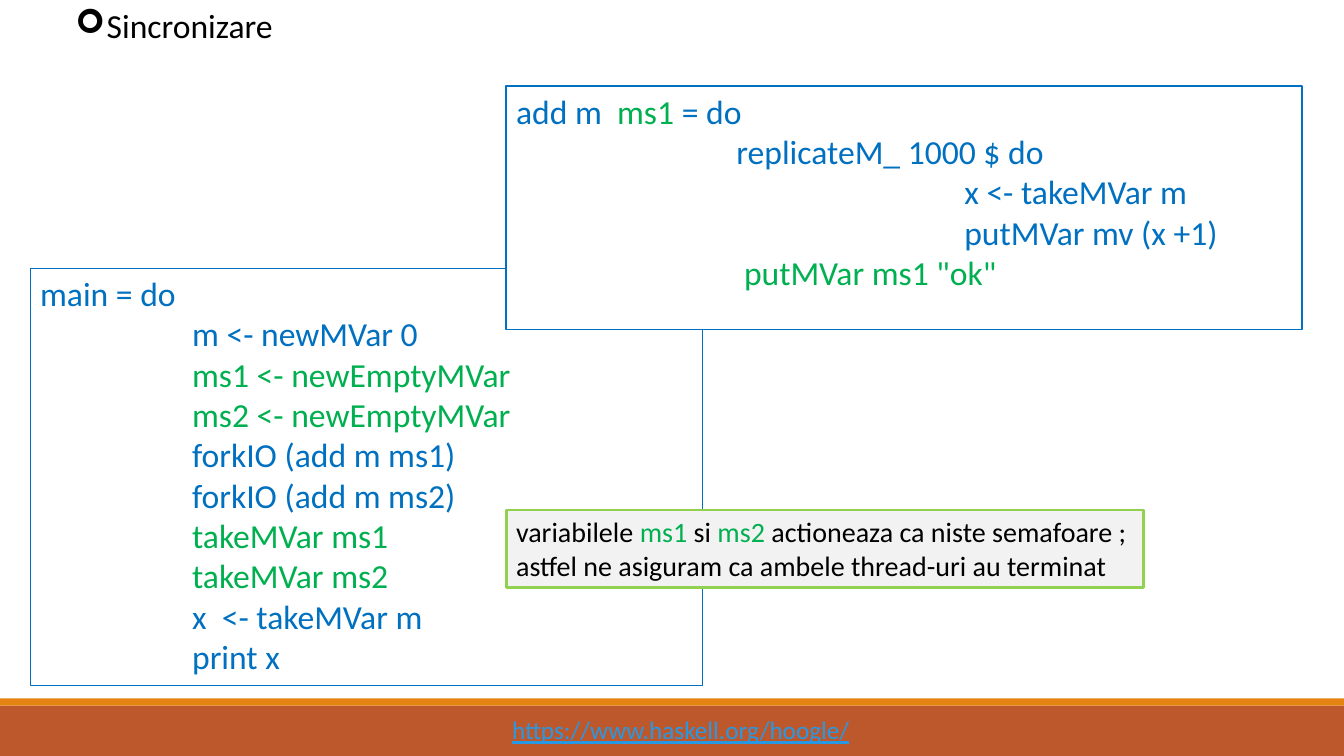
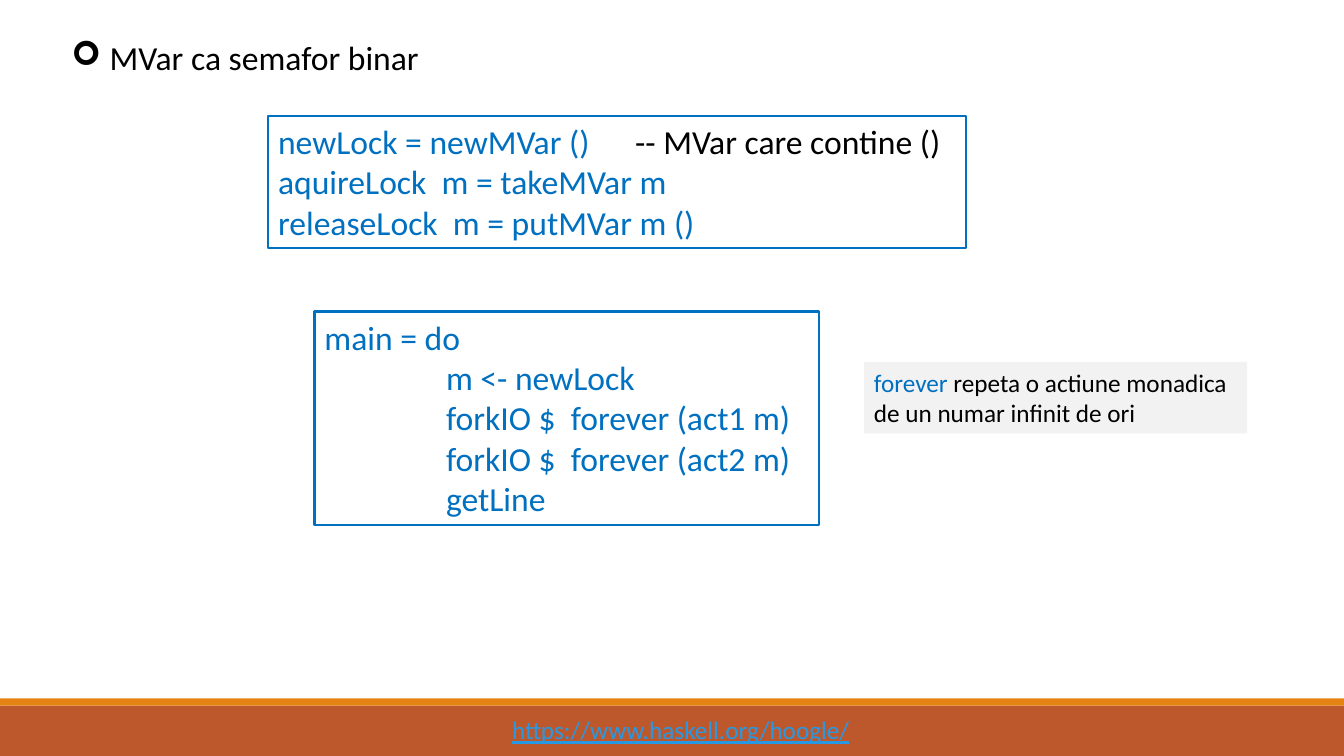
from lxml import etree
from pptx import Presentation
from pptx.dml.color import RGBColor
from pptx.enum.shapes import MSO_SHAPE
from pptx.oxml.ns import qn
from pptx.util import Inches, Pt

RECTANGLE = MSO_SHAPE.RECTANGLE
FONT = "Calibri"
COLORS = {
    "black": "000000",
    "white": "FFFFFF",
    "blue": "0070C0",
    "green": "00B050",
    "lime": "92D050",
    "grey": "F2F2F2",
    "rust": "BD582C",
    "orange": "E48312",
    "link": "2998E3",
}
SLIDE_WIDTH, SLIDE_HEIGHT = 13.33, 7.5


def rgb(name):
    return RGBColor.from_string(COLORS[name])


def add_text(slide, box, lines, size=24, color="black", fill=None, line=None,
             line_width=1.25, underline=False):
    """Each line is a string or a list of strings and (string, color) pairs."""
    shape = slide.shapes.add_textbox(*(Inches(value) for value in box))
    if fill:
        shape.fill.solid()
        shape.fill.fore_color.rgb = rgb(fill)
    if line:
        shape.line.color.rgb = rgb(line)
        shape.line.width = Pt(line_width)
    frame = shape.text_frame
    frame.word_wrap = True
    frame.margin_right = 0
    for index, content in enumerate(lines):
        paragraph = frame.add_paragraph() if index else frame.paragraphs[0]
        for part in [content] if isinstance(content, str) else content:
            text, part_color = (part, color) if isinstance(part, str) else part
            run = paragraph.add_run()
            run.text = text
            run.font.name = FONT
            run.font.size = Pt(size)
            run.font.underline = underline
            run.font.color.rgb = rgb(part_color)
    return shape


def add_title(slide, box, text, hanging):
    shape = add_text(slide, box, [text])
    properties = shape.text_frame.paragraphs[0]._p.get_or_add_pPr()
    properties.set("marL", str(Inches(hanging)))
    properties.set("indent", str(-Inches(hanging)))
    bullet_font = etree.SubElement(properties, qn("a:buFont"))
    bullet_font.set("typeface", "Wingdings")
    bullet = etree.SubElement(properties, qn("a:buChar"))
    bullet.set("char", "➢")


def add_code(slide, box, lines, **style):
    add_text(slide, box, lines, color="blue", line="blue", **style)


def add_note(slide, box, lines, **style):
    add_text(slide, box, lines, fill="grey", **style)


def add_footer(slide):
    for top, height, color in ((7, 0.5, "rust"), (6.93, 0.07, "orange")):
        band = slide.shapes.add_shape(
            RECTANGLE, 0, Inches(top), Inches(SLIDE_WIDTH), Inches(height))
        band.shadow.inherit = False
        band.fill.solid()
        band.fill.fore_color.rgb = rgb(color)
        band.line.fill.background()
    add_text(slide, (4.98, 7.04, 3.59, 0.4), ["https://www.haskell.org/hoogle/"],
             size=18, color="link", underline=True)


def new_slide(presentation):
    slide = presentation.slides.add_slide(presentation.slide_layouts[6])
    add_footer(slide)
    return slide


def build_synchronization(presentation):
    slide = new_slide(presentation)
    # Main program
    indent = " " * 20
    steps = [
        ("m <- newMVar 0", "blue"),
        ("ms1 <- newEmptyMVar", "green"),
        ("ms2 <- newEmptyMVar", "green"),
        ("forkIO (add m ms1)", "blue"),
        ("forkIO (add m ms2)", "blue"),
        ("takeMVar ms1", "green"),
        ("takeMVar ms2", "green"),
        ("x  <- takeMVar m", "blue"),
        ("print x", "blue"),
    ]
    add_code(slide, (0.3, 2.66, 6.67, 4.14),
             ["main = do"] + [[(indent + text, color)] for text, color in steps],
             line_width=0.75)
    add_title(slide, (0.65, 0, 2.27, 0.5), "Sincronizare", hanging=0.31)
    # Worker function
    add_code(slide, (5.02, 0.85, 7.89, 2.42), [
        ["add m  ", ("ms1", "green"), " = do"],
        " " * 29 + "replicateM_ 1000 $ do",
        " " * 59 + "x <- takeMVar m",
        " " * 59 + "putMVar mv (x +1)",
        [(" " * 30 + 'putMVar ms1 "ok"', "green")],
    ], fill="white")
    # Explanation
    add_note(slide, (5.02, 5.06, 6.32, 0.77), [
        ["variabilele ", ("ms1 ", "green"), "si ", ("ms2 ", "green"),
         "actioneaza ca niste semafoare ;"],
        "astfel ne asiguram ca ambele thread-uri au terminat",
    ], size=20, line="lime", line_width=2)


def build_binary_semaphore(presentation):
    slide = new_slide(presentation)
    add_title(slide, (0.61, 0.32, 3.79, 0.5), "MVar ca semafor binar", hanging=0.38)
    # Lock definitions
    add_code(slide, (2.66, 1.15, 6.92, 1.31), [
        ["newLock = newMVar ()      ", ("-- MVar care contine ()", "black")],
        "aquireLock  m = takeMVar m",
        "releaseLock  m = putMVar m ()",
    ], fill="white")
    # Main program
    indent = " " * 16
    steps = ["m <- newLock", "forkIO $  forever (act1 m)",
             "forkIO $  forever (act2 m)", "getLine"]
    add_code(slide, (3.12, 3.09, 5, 2.12),
             ["main = do"] + [indent + step for step in steps], line_width=1.5)
    # Explanation
    add_note(slide, (8.57, 3.59, 3.8, 0.71), [
        [("forever ", "blue"), "repeta o actiune monadica"],
        "de un numar infinit de ori",
    ], size=18)


def main():
    presentation = Presentation()
    presentation.slide_width = Inches(SLIDE_WIDTH)
    presentation.slide_height = Inches(SLIDE_HEIGHT)
    build_synchronization(presentation)
    build_binary_semaphore(presentation)
    presentation.save("out.pptx")


if __name__ == "__main__":
    main()
